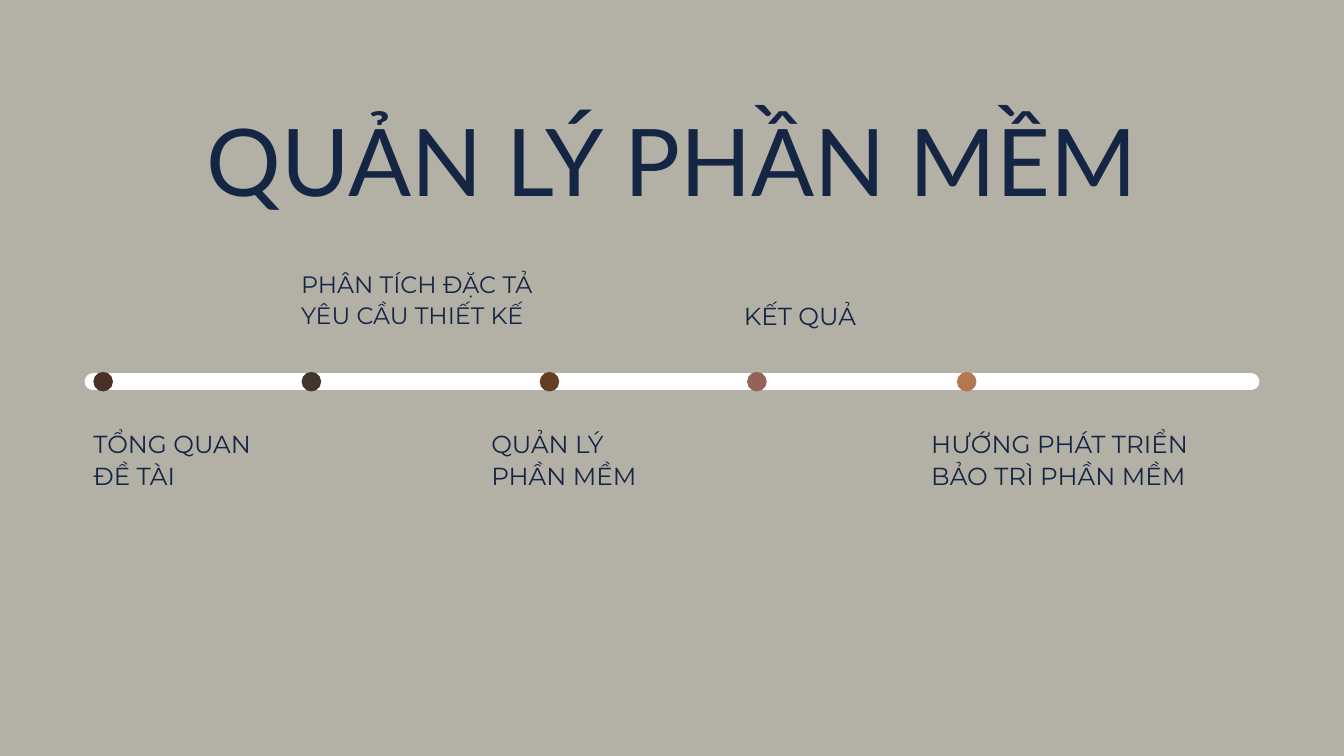
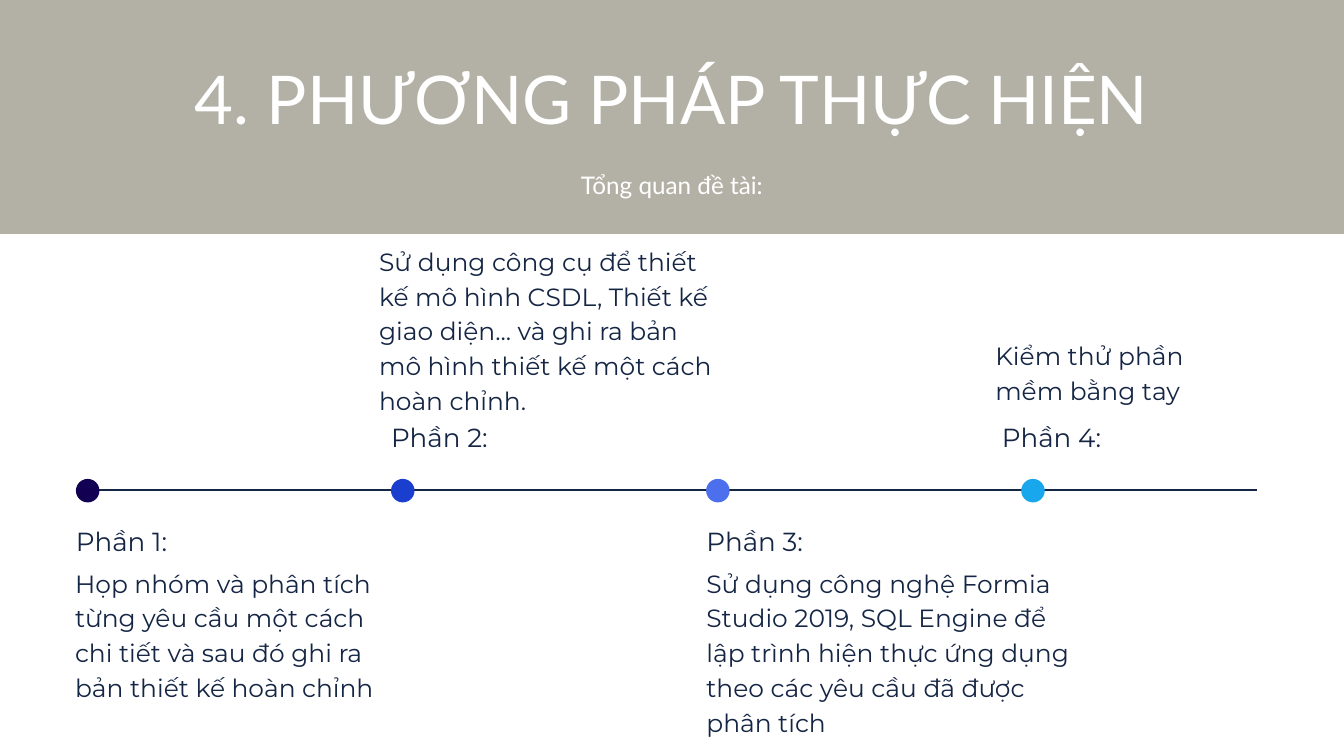
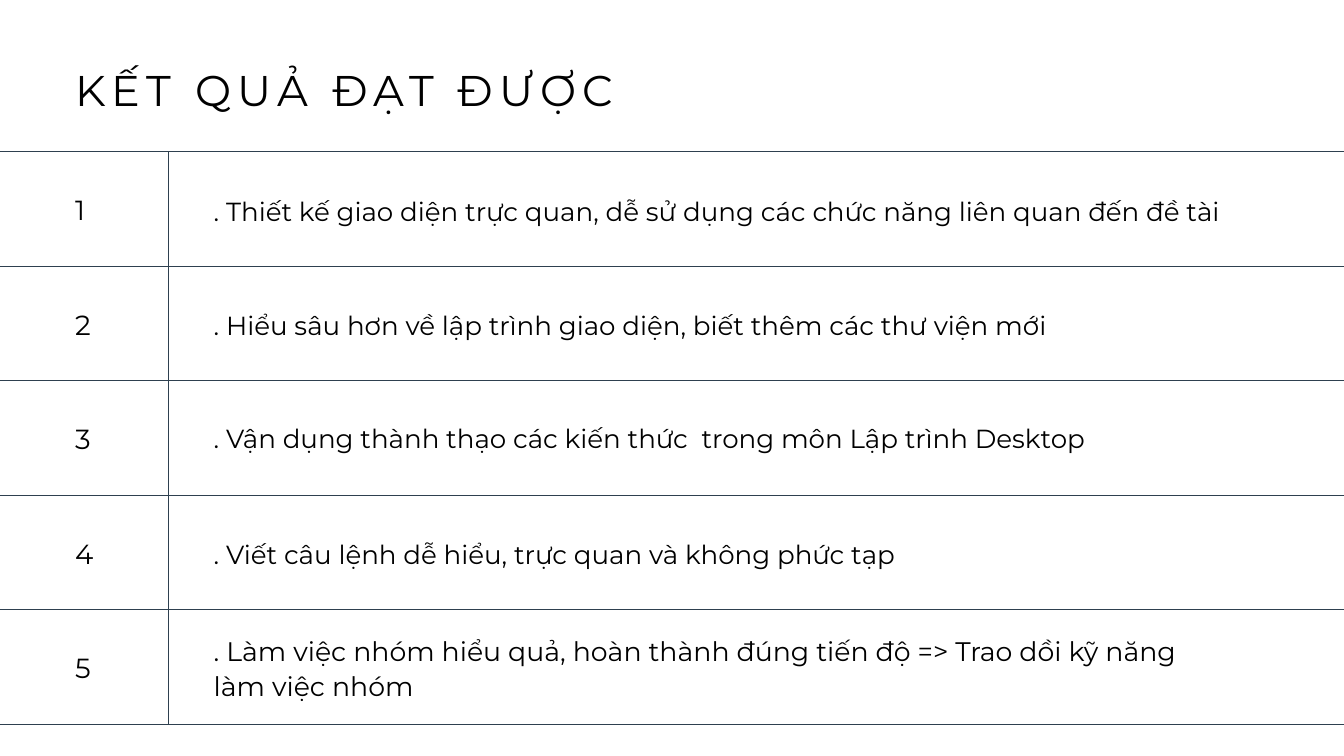
from lxml.etree import SubElement
from pptx import Presentation
from pptx.dml.color import RGBColor
from pptx.enum.shapes import MSO_CONNECTOR, MSO_SHAPE
from pptx.enum.text import MSO_ANCHOR, MSO_AUTO_SIZE, PP_ALIGN
from pptx.oxml.ns import qn
from pptx.util import Cm, Pt

# Shared look
WIDTH, HEIGHT = 50.8, 28.58
STONE, NAVY, WHITE, BLACK, SLATE = "B3B1A6", "152544", "FFFFFF", "000000", "2E404F"
HEADING_FONT, BODY_FONT = "Lato", "Montserrat"

# Agenda: dot left, dot colour, label lines, label left, label width, size, above the bar
AGENDA_TITLE = "QUẢN LÝ PHẦN MỀM"
AGENDA = [
    (3.53, "493128", ["TỔNG QUAN ĐỀ TÀI"], 3.53, 7.09, 26.4, False),
    (11.4, "41362F", ["PHÂN TÍCH ĐẶC TẢ", "YÊU CẦU THIẾT KẾ"], 11.38, 9.75, 25.4, True),
    (20.4, "653D21", ["QUẢN LÝ PHẦN MỀM"], 18.57, 7.09, 26.4, False),
    (28.24, "936357", ["KẾT QUẢ"], 28.12, 7.09, 26.4, True),
    (36.17, "B4784E", ["HƯỚNG PHÁT TRIỂN BẢO TRÌ PHẦN MỀM"], 35.2, 11.51, 26.4, False),
]

# Method: dot colour, heading, heading place, text, text place (left, top, width, height)
METHOD_TITLE = "4. PHƯƠNG PHÁP THỰC HIỆN"
METHOD_SUBTITLE = "Tổng quan đề tài:"
METHOD = [
    ("120052", "Phần 1:", (2.87, 19.76),
     ["Họp nhóm và phân tích từng yêu cầu một cách chi tiết và sau đó ghi ra",
      "bản thiết kế hoàn chỉnh"], (2.84, 21.29, 11.91, 5.16)),
    ("1A3ECD", "Phần 2:", (14.78, 15.85),
     ["Sử dụng công cụ để thiết kế mô hình CSDL, Thiết kế giao diện... "
      "và ghi ra bản mô hình thiết kế một cách hoàn chỉnh."], (14.33, 9.12, 12.8, 7.75)),
    ("4B6FED", "Phần 3:", (26.7, 19.76),
     ["Sử dụng công nghệ Formia Studio 2019, SQL Engine để lập trình hiện thực "
      "ứng dụng theo các yêu cầu đã được phân tích"], (26.7, 21.29, 13.87, 6.45)),
    ("18A7EC", "Phần 4:", (37.87, 15.85),
     ["Kiểm thử phần mềm bằng tay"], (37.62, 12.7, 9.35, 2.57)),
]

# Results: text, distance below the row's rule, height, size
RESULTS_TITLE = "KẾT QUẢ ĐẠT ĐƯỢC"
RESULTS = [
    (". Thiết kế giao diện trực quan, dễ sử dụng các chức năng liên quan đến đề tài",
     1.56, 1.22, 28),
    (". Hiểu sâu hơn về lập trình giao diện, biết thêm các thư viện mới", 1.56, 1.22, 28),
    (". Vận dụng thành thạo các kiến thức  trong môn Lập trình Desktop", 1.5, 1.22, 28),
    (". Viết câu lệnh dễ hiểu, trực quan và không phức tạp", 1.56, 1.22, 28),
    (". Làm việc nhóm hiểu quả, hoàn thành đúng tiến độ => Trao dồi kỹ năng làm việc nhóm",
     0.86, 2.57, 28.7),
]


def colour(value):
    return RGBColor.from_string(value)


def add_page(deck, background):
    page = deck.slides.add_slide(deck.slide_layouts[5])
    page.background.fill.solid()
    page.background.fill.fore_color.rgb = colour(background)
    return page


def write(box, lines, size, font=BODY_FONT, ink=NAVY, leading=1.3, align=PP_ALIGN.LEFT, tracking=0):
    """Fill a box with paragraphs; leading is a multiple of the text size."""
    frame = box.text_frame
    frame.word_wrap = True
    frame.auto_size = MSO_AUTO_SIZE.NONE
    frame.vertical_anchor = MSO_ANCHOR.TOP
    frame.margin_left = frame.margin_top = frame.margin_right = frame.margin_bottom = 0
    for index, line in enumerate(lines):
        para = frame.add_paragraph() if index else frame.paragraphs[0]
        para.alignment = align
        para.line_spacing = Pt(round(size * leading, 1))
        para.space_before = para.space_after = Pt(0)
        span = para.add_run()
        span.text = line
        span.font.size = Pt(size)
        span.font.name = font
        span.font.color.rgb = colour(ink)
        if tracking:
            span.font._element.set("spc", str(round(tracking * 100)))


def add_text(page, lines, place, size, **style):
    write(page.shapes.add_textbox(*map(Cm, place)), lines, size, **style)


def add_title(page, text, place, size, **style):
    title = page.shapes.title
    title.left, title.top, title.width, title.height = map(Cm, place)
    title._element.getparent().append(title._element)  # bring in front of the band
    write(title, [text], size, **style)


def add_shape(page, kind, place, fill):
    shape = page.shapes.add_shape(kind, *map(Cm, place))
    shape.shadow.inherit = False
    shape.fill.solid()
    shape.fill.fore_color.rgb = colour(fill)
    shape.line.fill.background()


def add_line(page, start, end, ink, weight, rounded=False):
    line = page.shapes.add_connector(MSO_CONNECTOR.STRAIGHT, *map(Cm, start + end))
    line.line.color.rgb = colour(ink)
    line.line.width = Pt(weight)
    if rounded:
        line.line._get_or_add_ln().set("cap", "rnd")
    SubElement(line._element.spPr, qn("a:effectLst"))


def add_dot(page, left, middle, size, fill):
    add_shape(page, MSO_SHAPE.OVAL, (left, middle - size / 2, size, size), fill)


def build_agenda(deck):
    page = add_page(deck, STONE)
    bar_y, above_bottom, below_top = 14.43, 12.47, 16.13
    add_line(page, (3.53, bar_y), (47.27, bar_y), WHITE, 18.75, rounded=True)
    for dot_left, fill, lines, left, width, size, above in AGENDA:
        add_dot(page, dot_left, bar_y, 0.74, fill)
        height = 1.17 * len(lines) if above else 2.34
        top = above_bottom - height if above else below_top
        add_text(page, lines, (left, top, width, height), size)
    add_title(page, AGENDA_TITLE, (4.62, 4.27, 41.55, 3.99), 100,
              font=HEADING_FONT, leading=1.1, align=PP_ALIGN.CENTER)


def build_method(deck):
    page = add_page(deck, WHITE)
    heading = {"font": HEADING_FONT, "ink": WHITE, "align": PP_ALIGN.CENTER}
    add_shape(page, MSO_SHAPE.RECTANGLE, (0, 0, WIDTH, 8.84), STONE)
    add_title(page, METHOD_TITLE, (5.92, 1.91, 38.94, 3.18), 72, **heading)
    add_text(page, [METHOD_SUBTITLE], (13.36, 6.27, 24.08, 1.19), 26, leading=1.4, **heading)
    # Timeline with evenly spaced dots
    first_left, step, line_y = 2.87, 11.91, 18.52
    add_line(page, (first_left, line_y), (47.5, line_y), NAVY, 1.5)
    for index, (fill, label, label_at, lines, place) in enumerate(METHOD):
        add_dot(page, first_left + index * step, line_y + 0.03, 0.89, fill)
        add_text(page, [label], label_at + (9.35, 1.22), 28)
        add_text(page, lines, place, 26.7, leading=1.4)


def build_results(deck):
    page = add_page(deck, WHITE)
    add_title(page, RESULTS_TITLE, (2.84, 2.08, 38.2, 2.16), 46,
              font=BODY_FONT, ink=BLACK, leading=1.4, tracking=6.8)
    # Ruled rows
    first_rule, row_height, column_x = 5.72, 4.33, 6.35
    rules = [first_rule + index * row_height for index in range(len(RESULTS) + 1)]
    for rule in rules:
        add_line(page, (0, rule), (WIDTH, rule), SLATE, 0.75)
    add_line(page, (column_x, rules[0]), (column_x, rules[-1]), SLATE, 0.75)
    for number, (rule, row) in enumerate(zip(rules, RESULTS), start=1):
        text, offset, height, size = row
        add_text(page, [str(number)], (2.84, rule + 1.47, 0.9, 1.32), 29.6,
                 ink=BLACK, tracking=4.3)
        add_text(page, [text], (8.08, rule + offset, 38.2, height), size, ink=BLACK)


def main():
    deck = Presentation()
    deck.slide_width, deck.slide_height = Cm(WIDTH), Cm(HEIGHT)
    build_agenda(deck)
    build_method(deck)
    build_results(deck)
    deck.save("out.pptx")


if __name__ == "__main__":
    main()
